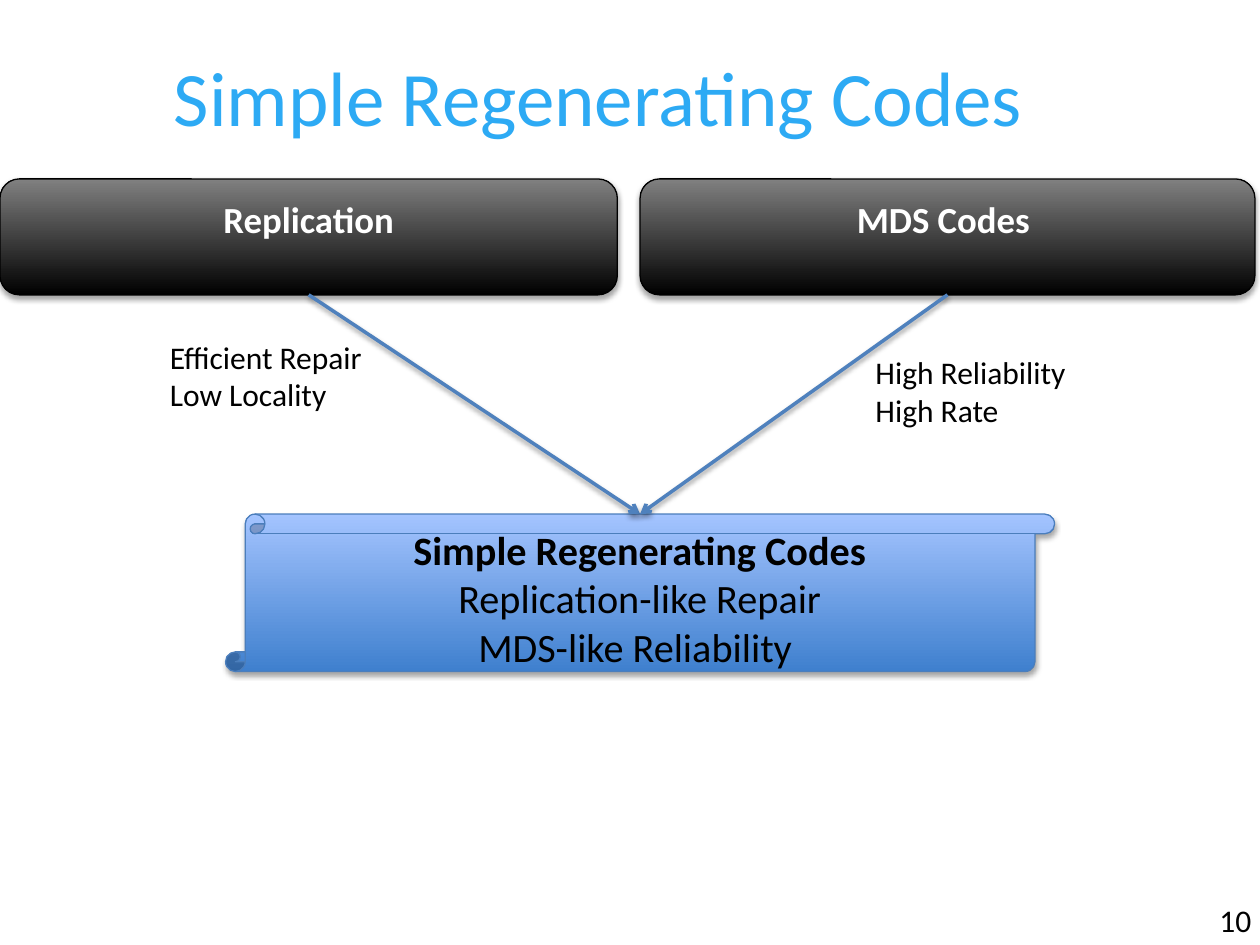
from lxml.etree import SubElement
from pptx import Presentation
from pptx.dml.color import RGBColor
from pptx.enum.shapes import MSO_CONNECTOR, MSO_SHAPE
from pptx.enum.text import MSO_ANCHOR, PP_ALIGN
from pptx.oxml.ns import qn
from pptx.util import Inches, Pt

COLUMNS, ROWS = 100, 75
WIDTH, HEIGHT = Inches(10), Inches(7.5)
FONT = "Calibri"
TOP, BOTTOM = 0, 2

BLACK = RGBColor(0x00, 0x00, 0x00)
GRAY = RGBColor(0x80, 0x80, 0x80)
WHITE = RGBColor(0xFF, 0xFF, 0xFF)
TITLE_BLUE = RGBColor(0x2D, 0xAA, 0xF4)
ARROW_BLUE = RGBColor(0x4F, 0x81, 0xBD)
SCROLL_LINE = RGBColor(0x4B, 0x7E, 0xBC)
SCROLL_DARK = RGBColor(0x3F, 0x80, 0xCE)
SCROLL_LIGHT = RGBColor(0xA4, 0xC4, 0xFF)


def grid(column, row, columns, rows):
    return (
        round(WIDTH * column / COLUMNS),
        round(HEIGHT * row / ROWS),
        round(WIDTH * columns / COLUMNS),
        round(HEIGHT * rows / ROWS),
    )


def set_attributes(target, values):
    for name, value in values.items():
        setattr(target, name, value)


def write_lines(frame, lines, size, color, alignment=PP_ALIGN.LEFT, bold_first=False):
    for index, line in enumerate(lines):
        paragraph = frame.paragraphs[0] if index == 0 else frame.add_paragraph()
        paragraph.alignment = alignment
        run = paragraph.add_run()
        run.text = line
        set_attributes(run.font, {
            "name": FONT, "size": Pt(size), "bold": bold_first and index == 0,
        })
        run.font.color.rgb = color


def add_shadow(shape, opacity, distance):
    effects = SubElement(shape._element.spPr, qn("a:effectLst"))
    shadow = SubElement(effects, qn("a:outerShdw"), {
        "blurRad": str(Pt(3.1)), "dist": str(Pt(distance)),
        "dir": "5400000", "rotWithShape": "0",
    })
    color = SubElement(shadow, qn("a:srgbClr"), val=str(BLACK))
    SubElement(color, qn("a:alpha"), val=str(opacity * 1000))


def add_title(slide, box, text):
    title = slide.shapes.title
    set_attributes(title, dict(zip(("left", "top", "width", "height"), box)))
    set_attributes(title.text_frame, {
        "vertical_anchor": MSO_ANCHOR.TOP, "margin_top": Inches(0.09),
    })
    write_lines(title.text_frame, [text], 44, TITLE_BLUE, PP_ALIGN.CENTER)


def add_gradient_shape(slide, kind, box, dark, light, line_color):
    shape = slide.shapes.add_shape(kind, *box)
    shape.fill.gradient()
    shape.fill.gradient_angle = 90
    for stop, color in zip(shape.fill.gradient_stops, (dark, light)):
        stop.color.rgb = color
    shape.line.color.rgb = line_color
    shape.line.width = Pt(0.75)
    add_shadow(shape, 35, 1.8)
    return shape


def add_header(slide, box, text):
    header = add_gradient_shape(
        slide, MSO_SHAPE.ROUNDED_RECTANGLE, box, BLACK, GRAY, BLACK)
    set_attributes(header.text_frame, {
        "vertical_anchor": MSO_ANCHOR.TOP, "margin_top": Inches(0.1),
    })
    write_lines(header.text_frame, [text], 21, WHITE, PP_ALIGN.CENTER, True)
    return header


def add_scroll(slide, box, lines):
    scroll = add_gradient_shape(
        slide, MSO_SHAPE.VERTICAL_SCROLL, box, SCROLL_DARK, SCROLL_LIGHT, SCROLL_LINE)
    scroll.text_frame.vertical_anchor = MSO_ANCHOR.MIDDLE
    write_lines(scroll.text_frame, lines, 23, BLACK, PP_ALIGN.CENTER, True)
    return scroll


def add_arrow(slide, source, target):
    arrow = slide.shapes.add_connector(MSO_CONNECTOR.STRAIGHT, 0, 0, 0, 0)
    arrow.begin_connect(source, BOTTOM)
    arrow.end_connect(target, TOP)
    arrow.line.color.rgb = ARROW_BLUE
    arrow.line.width = Pt(2)
    SubElement(arrow.line._get_or_add_ln(), qn("a:tailEnd"), type="arrow")
    add_shadow(arrow, 38, 1.6)


def add_label(slide, box, lines):
    label = slide.shapes.add_textbox(*box)
    label.text_frame.word_wrap = False
    write_lines(label.text_frame, lines, 18, BLACK)


def main():
    presentation = Presentation()
    set_attributes(presentation, {"slide_width": WIDTH, "slide_height": HEIGHT})
    slide = presentation.slides.add_slide(presentation.slide_layouts[5])

    add_title(slide, grid(0, 3, 95, 12.5), "Simple Regenerating Codes")
    add_label(slide, grid(95.8, 71, 5.4, 4), ["10"])
    headers = [
        add_header(slide, grid(0, 14.2, 49, 9.2), "Replication"),
        add_header(slide, grid(50.8, 14.2, 48.8, 9.2), "MDS Codes "),
    ]
    scroll = add_scroll(slide, grid(17.9, 40.8, 65.8, 12.5), [
        "Simple Regenerating Codes", "Replication-like Repair", "MDS-like Reliability ",
    ])
    for header in headers:
        add_arrow(slide, header, scroll)
    add_label(slide, grid(12.5, 26.3, 17.4, 7.1), ["Efficient Repair", "Low Locality"])
    add_label(slide, grid(68.5, 27.5, 17.3, 7.1), ["High Reliability", "High Rate"])
    presentation.save("out.pptx")


if __name__ == "__main__":
    main()
